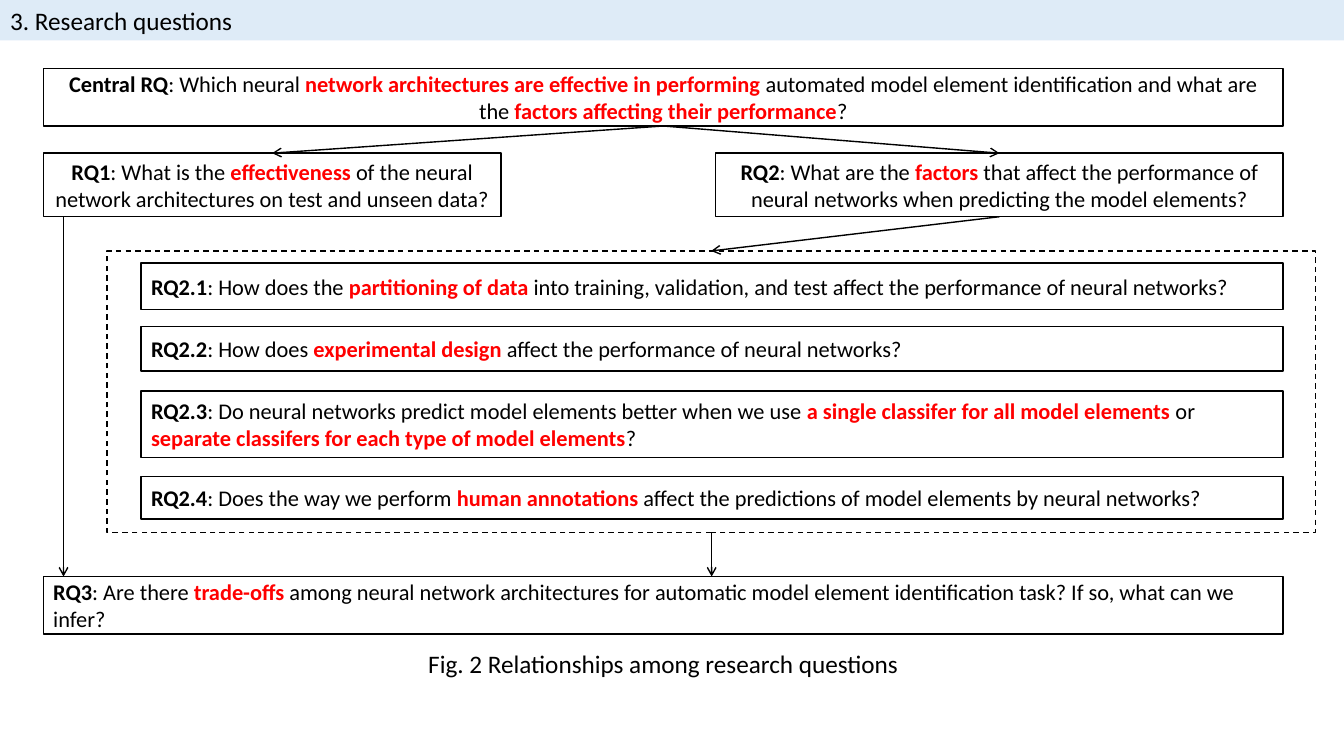
from dataclasses import dataclass

from lxml import etree
from pptx import Presentation
from pptx.dml.color import RGBColor
from pptx.enum.dml import MSO_LINE
from pptx.enum.shapes import MSO_CONNECTOR, MSO_SHAPE
from pptx.enum.text import MSO_ANCHOR, MSO_AUTO_SIZE, PP_ALIGN
from pptx.oxml.ns import qn
from pptx.util import Inches, Pt

RECTANGLE = MSO_SHAPE.RECTANGLE
STRAIGHT = MSO_CONNECTOR.STRAIGHT
DASH = MSO_LINE.DASH
LEFT, CENTER = PP_ALIGN.LEFT, PP_ALIGN.CENTER
TOP, MIDDLE = MSO_ANCHOR.TOP, MSO_ANCHOR.MIDDLE
TOP_SITE, BOTTOM_SITE = 0, 2
TITLE_ONLY = 5


@dataclass(frozen=True)
class Theme:
    font: str = "Calibri"
    ink: RGBColor = RGBColor(0, 0, 0)
    accent: RGBColor = RGBColor(255, 0, 0)
    band: RGBColor = RGBColor(0xDE, 0xEB, 0xF7)
    heading_size: Pt = Pt(18)
    body_size: Pt = Pt(16)
    line_width: Pt = Pt(1)


class QuestionMap:
    """Draws on one page; lengths are columns and rows of a 0.1 inch grid."""

    columns, rows, cell = 133.33, 75, 0.1

    def __init__(self, deck, theme):
        self.theme = theme
        deck.slide_width = self.grid(self.columns)
        deck.slide_height = self.grid(self.rows)
        self.page = deck.slides.add_slide(deck.slide_layouts[TITLE_ONLY])

    def grid(self, *cells):
        lengths = [Inches(count * self.cell) for count in cells]
        return lengths if len(lengths) > 1 else lengths[0]

    def style(self, span, size, color=None, bold=False):
        span.font.name = self.theme.font
        span.font.size = size
        span.font.bold = bold
        span.font.color.rgb = color or self.theme.ink

    def title(self, text, height):
        box = self.page.shapes.title
        box.left, box.top, box.width, box.height = self.grid(0, 0, self.columns, height)
        box.fill.solid()
        box.fill.fore_color.rgb = self.theme.band
        self.heading(box, text, LEFT)

    def caption(self, text, left, top, width, height):
        box = self.page.shapes.add_textbox(*self.grid(left, top, width, height))
        self.heading(box, text, CENTER)

    def heading(self, box, text, align):
        frame = box.text_frame
        frame.text = text
        frame.word_wrap = True
        frame.auto_size = MSO_AUTO_SIZE.NONE
        frame.vertical_anchor = TOP
        para = frame.paragraphs[0]
        para.alignment = align
        self.style(para.runs[0], self.theme.heading_size)

    def frame(self, left, top, width, height, dash=None):
        box = self.page.shapes.add_shape(RECTANGLE, *self.grid(left, top, width, height))
        box.shadow.inherit = False
        box.fill.background()
        box.line.color.rgb = self.theme.ink
        box.line.width = self.theme.line_width
        if dash:
            box.line.dash_style = dash
        return box

    def question(self, label, text, place, align=LEFT):
        """Write a bold label, then text whose *starred* parts are accented."""
        box = self.frame(*place)
        box.text_frame.word_wrap = True
        box.text_frame.vertical_anchor = MIDDLE
        para = box.text_frame.paragraphs[0]
        para.text = label
        para.alignment = align
        self.style(para.runs[0], self.theme.body_size, bold=True)
        for index, part in enumerate(f": {text}".split("*")):
            key = index % 2 == 1
            span = para.add_run()
            span.text = part
            self.style(span, self.theme.body_size, self.theme.accent if key else None, key)
        return box

    def arrow(self, source, target, column=None):
        """Glue two boxes centre to centre, or drop straight down at a column."""
        if column is None:
            start_x = source.left + source.width // 2
            end_x = target.left + target.width // 2
        else:
            start_x = end_x = self.grid(column)
        line = self.page.shapes.add_connector(
            STRAIGHT, start_x, source.top + source.height, end_x, target.top)
        if column is None:
            line.begin_connect(source, BOTTOM_SITE)
            line.end_connect(target, TOP_SITE)
        line.line.color.rgb = self.theme.ink
        line.line.width = self.theme.line_width
        etree.SubElement(line.line._get_or_add_ln(), qn("a:tailEnd"), type="arrow")
        etree.SubElement(line._element.spPr, qn("a:effectLst"))


def main():
    deck = Presentation()
    chart = QuestionMap(deck, Theme())
    chart.title("3. Research questions", 4)

    # Central question and its two branches
    left, right = 4.3, 127.3
    central = chart.question(
        "Central RQ",
        "Which neural *network architectures are effective in performing* automated "
        "model element identification and what are the "
        "*factors affecting their performance*?",
        (left, 6.8, right - left, 5.7), CENTER)
    effectiveness = chart.question(
        "RQ1",
        "What is the *effectiveness *of the neural network architectures "
        "on test and unseen data?",
        (left, 15.2, 45.4, 6.3), CENTER)
    factors = chart.question(
        "RQ2",
        "What are the *factors* that affect the performance of neural networks "
        "when predicting the model elements?",
        (71, 15.2, right - 71, 6.3), CENTER)

    # Detailed questions inside the dashed group
    group = chart.frame(10.6, 24.9, 119.9, 27.9, DASH)
    details = [
        (26.1, 4.6, "How does the *partitioning of data* into training, validation, "
                    "and test affect the performance of neural networks?"),
        (32.4, 4.4, "How does *experimental design* affect the performance of "
                    "neural networks?"),
        (38.8, 6.6, "Do neural networks predict model elements better when we use "
                    "*a single classifer for all model elements* or "
                    "*separate classifers for each type of model elements*?"),
        (47.3, 4.2, "Does the way we perform *human annotations* affect the "
                    "predictions of model elements by neural networks?"),
    ]
    for number, (top, height, text) in enumerate(details, start=1):
        chart.question(f"RQ2.{number}", text, (14, top, right - 14, height))

    # Closing question and caption
    trade_offs = chart.question(
        "RQ3",
        "Are there *trade-offs* among neural network architectures for automatic "
        "model element identification task? If so, what can we infer?",
        (left, 57.2, right - left, 5.7))
    chart.caption("Fig. 2 Relationships among research questions", 41.5, 63.8, 48.6, 4)

    # Arrows between the questions
    chart.arrow(central, effectiveness)
    chart.arrow(central, factors)
    chart.arrow(factors, group)
    chart.arrow(effectiveness, trade_offs, column=6.3)
    chart.arrow(group, trade_offs, column=70.6)

    deck.save("out.pptx")


if __name__ == "__main__":
    main()
